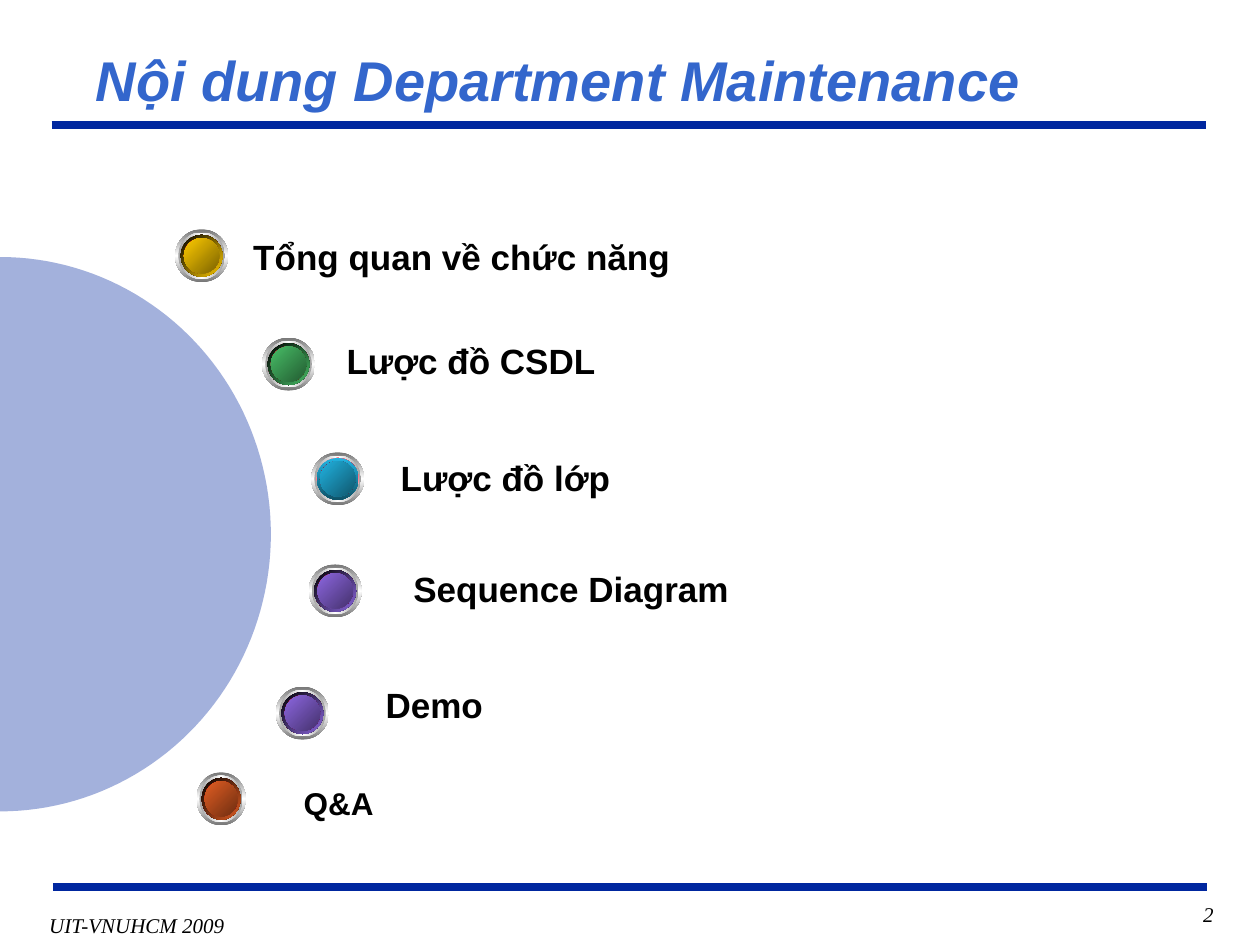
from copy import deepcopy
from dataclasses import dataclass
from math import cos, pi, sin

from lxml import etree
from pptx import Presentation
from pptx.dml.color import RGBColor
from pptx.enum.shapes import MSO_CONNECTOR, MSO_SHAPE
from pptx.enum.text import MSO_ANCHOR, PP_ALIGN
from pptx.oxml.ns import qn
from pptx.util import Inches, Pt

STRAIGHT = MSO_CONNECTOR.STRAIGHT
OVAL, PILL = MSO_SHAPE.OVAL, MSO_SHAPE.ROUNDED_RECTANGLE
MIDDLE = MSO_ANCHOR.MIDDLE
LEFT, CENTER, RIGHT = PP_ALIGN.LEFT, PP_ALIGN.CENTER, PP_ALIGN.RIGHT

COLORS = {
    "navy": "00279F", "title": "3366CC", "black": "000000", "white": "FFFFFF",
    "gray": "767676", "silver": "A2A2A2", "red": "FC0128", "dark red": "880116",
    "gold": "FFCC00", "dark gold": "7C6300",
    "green": "48BE67", "dark green": "235C32",
    "blue": "21B3E1", "dark blue": "10576D", "rim blue": "0F5368",
    "purple": "8D67E1", "dark purple": "45326D",
    "orange": "E35E23", "dark orange": "6E2E11",
}
BADGE_HEIGHT = 0.42
LABEL_WIDTH, LABEL_HEIGHT = 4.83, 0.56


@dataclass
class Topic:
    text: str
    label_left: float
    label_top: float
    badge_left: float
    badge_top: float
    color: str
    size: int = 20
    badge_width: float = BADGE_HEIGHT


@dataclass
class Ring:
    scale: float
    colors: tuple[str, ...]
    angle: int  # clockwise degrees


TOPICS = [
    Topic("Tổng quan về chức năng", 1.83, 1.76, 1.39, 1.82, "gold"),
    Topic("Lược đồ CSDL", 2.57, 2.58, 2.08, 2.68, "green"),
    Topic("Lược đồ lớp", 3.0, 3.51, 2.47, 3.59, "blue"),
    Topic("Sequence Diagram", 3.1, 4.39, 2.45, 4.48, "purple"),
    Topic("Demo", 2.88, 5.31, 2.19, 5.45, "purple"),
    Topic("Q&A", 2.23, 6.09, 1.56, 6.13, "orange", 18, 0.39),
]


def rgb(name: str) -> RGBColor:
    return RGBColor.from_string(COLORS[name])


def format_text(frame, text: str, font_name: str, size: int, color: str,
                align=LEFT, bold=False, italic=False) -> None:
    frame.text = text
    para = frame.paragraphs[0]
    para.alignment = align
    font = para.runs[0].font
    font.name, font.size = font_name, Pt(size)
    font.bold, font.italic = bold, italic
    font.color.rgb = rgb(color)


def add_rule(slide, left: float, top: float, width: float) -> None:
    rule = slide.shapes.add_connector(
        STRAIGHT, Inches(left), Inches(top), Inches(left + width), Inches(top))
    rule.line.color.rgb = rgb("navy")
    rule.line.width = Pt(4.5)
    etree.SubElement(rule._element.spPr, qn("a:effectLst"))


def add_half_disc(slide, middle: float, radius_x: float, radius_y: float) -> None:
    """Draw the translucent half ellipse that grows from the left slide edge."""
    steps = 90
    angles = [pi * step / steps - pi / 2 for step in range(steps + 1)]
    points = [(Inches(radius_x * cos(angle)), Inches(middle + radius_y * sin(angle)))
              for angle in angles]
    builder = slide.shapes.build_freeform(*points[0])
    builder.add_line_segments(points[1:], close=True)
    disc = builder.convert_to_shape()
    disc.shadow.inherit = False
    disc.line.fill.background()
    disc.fill.solid()
    disc.fill.fore_color.rgb = rgb("navy")
    color = disc._element.spPr.find(qn("a:solidFill"))[0]
    etree.SubElement(color, qn("a:alpha"), val="36000")


def fill_gradient(shape, colors: tuple[str, ...], angle: int) -> None:
    shape.fill.gradient()
    shape.fill.gradient_angle = (360 - angle) % 360
    stop_list = shape._element.spPr.find(f".//{qn('a:gsLst')}")
    while len(stop_list) < len(colors):
        stop_list.append(deepcopy(stop_list[-1]))
    for index, stop in enumerate(shape.fill.gradient_stops):
        stop.color.rgb = rgb(colors[index])
        stop.position = index / (len(colors) - 1)


def add_badge(slide, topic: Topic) -> None:
    """Draw the round button of a topic as a group of concentric rings."""
    dark = f"dark {topic.color}"
    rim = (("blue", "rim blue"), 90) if topic.color == "blue" else (("black", topic.color), 45)
    rings = [
        Ring(1, ("gray", "white", "gray"), 90),
        Ring(0.88, ("silver", "white", "silver"), 0),
        Ring(0.79, ("white", "red", "white"), 45),
        Ring(0.79, *rim),
        Ring(0.67, ("dark red", "red", "dark red"), 315),
        Ring(0.67, (topic.color, dark), 45),
    ]
    badge = slide.shapes.add_group_shape()
    for ring in rings:
        width, height = topic.badge_width * ring.scale, BADGE_HEIGHT * ring.scale
        oval = badge.shapes.add_shape(
            OVAL,
            Inches(topic.badge_left + (topic.badge_width - width) / 2),
            Inches(topic.badge_top + (BADGE_HEIGHT - height) / 2),
            Inches(width), Inches(height))
        oval.shadow.inherit = False
        oval.line.fill.background()
        fill_gradient(oval, ring.colors, ring.angle)


def add_label(slide, topic: Topic) -> None:
    label = slide.shapes.add_shape(
        PILL, Inches(topic.label_left), Inches(topic.label_top),
        Inches(LABEL_WIDTH), Inches(LABEL_HEIGHT))
    label.adjustments[0] = 0.5
    label.shadow.inherit = False
    label.fill.background()
    label.line.color.rgb = rgb("white")
    label.line.width = Pt(2.25)
    frame = label.text_frame
    frame.word_wrap = False
    frame.vertical_anchor = MIDDLE
    format_text(frame, topic.text, "Arial", topic.size, "black", bold=True)


def add_footer(slide, text: str, left: float, top: float, width: float,
               height: float, align, wrap: bool) -> None:
    box = slide.shapes.add_textbox(
        Inches(left), Inches(top), Inches(width), Inches(height))
    box.text_frame.word_wrap = wrap
    format_text(box.text_frame, text, "Times New Roman", 12, "black", align, italic=True)


def main() -> None:
    deck = Presentation()
    deck.slide_width, deck.slide_height = Inches(10), Inches(7.5)
    slide = deck.slides.add_slide(deck.slide_layouts[5])

    title = slide.shapes.title
    title.left, title.top = Inches(0.66), Inches(0.33)
    title.width, title.height = Inches(8.87), Inches(0.59)
    title.text_frame.vertical_anchor = MIDDLE
    format_text(title.text_frame, "Nội dung Department Maintenance", "Arial", 32,
                "title", bold=True, italic=True)

    add_rule(slide, 0.41, 0.99, 9.16)
    add_rule(slide, 0.42, 7.04, 9.16)
    add_footer(slide, "UIT-VNUHCM 2009", 0.29, 7.19, 1.59, 0.29, CENTER, False)
    add_footer(slide, "2", 8.48, 7.11, 1.25, 0.33, RIGHT, True)

    add_half_disc(slide, 4.24, 2.15, 2.2)
    for topic in TOPICS:
        add_label(slide, topic)
        add_badge(slide, topic)

    deck.save("out.pptx")


if __name__ == "__main__":
    main()
